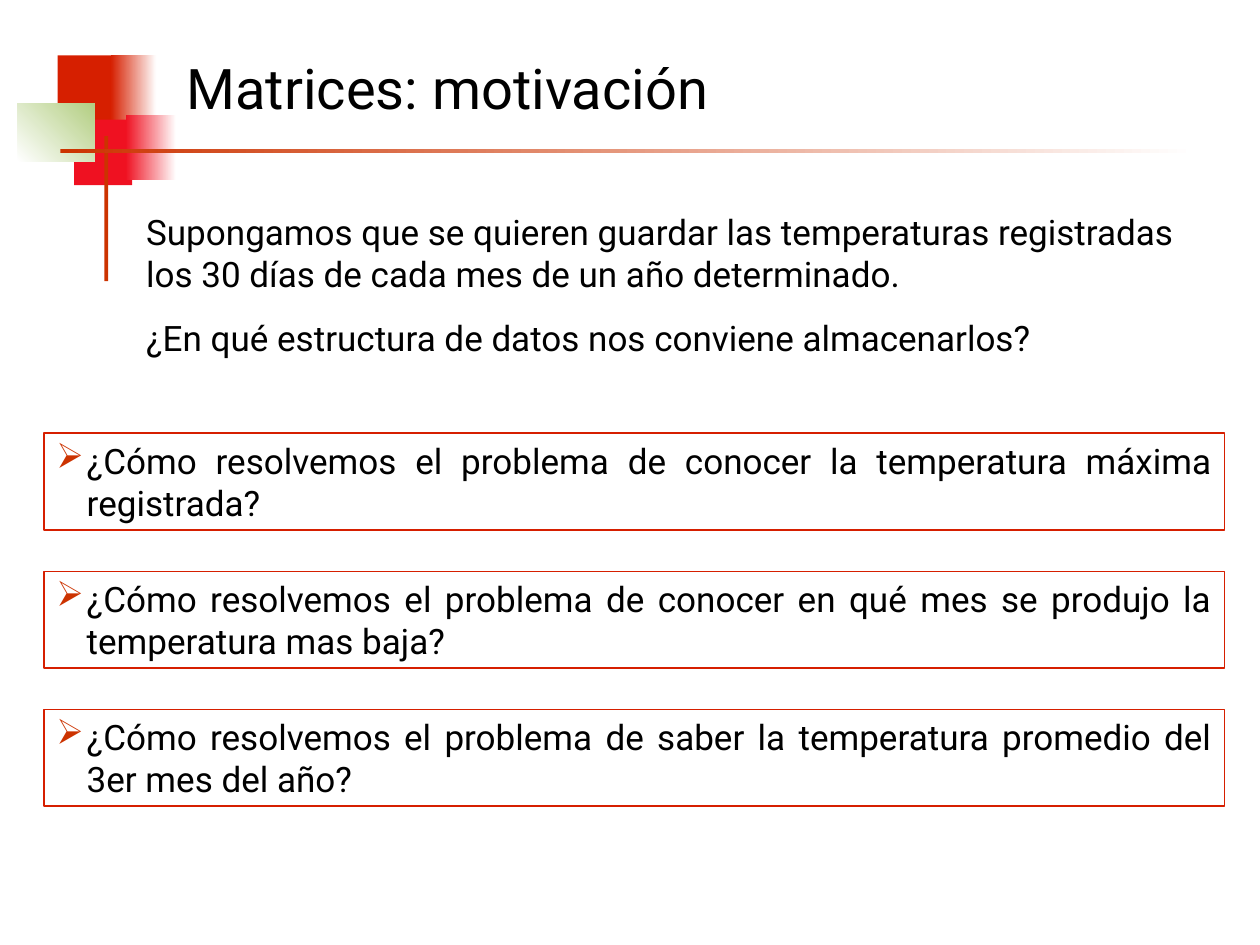
import pptx
import pptx.util
import pptx.dml.color
import pptx.enum.shapes
import pptx.enum.text
import pptx.oxml
import pptx.oxml.ns
from dataclasses import dataclass

Pt = pptx.util.Pt
Rgb = pptx.dml.color.RGBColor.from_string
Text = pptx.enum.text


@dataclass(frozen=True)
class Theme:
    font: str = "Roboto"
    ink: str = "000000"
    paper: str = "FFFFFF"
    red: str = "D61F00"
    rose: str = "EF1121"
    green: str = "B3CE82"
    rust: str = "CC3300"
    title: float = 32
    body: float = 20
    gap: float = 12.5
    hang: float = 17.3


theme = Theme()


def style(para, size):
    for run in para.runs:
        run.font.name = theme.font
        run.font.size = Pt(size)
        run.font.color.rgb = Rgb(theme.ink)


def inset(frame):
    frame.word_wrap = True
    frame.margin_left = frame.margin_right = Pt(7.2)
    frame.margin_top = frame.margin_bottom = Pt(3.6)


def place(shape, box):
    shape.left, shape.top, shape.width, shape.height = map(Pt, box)


def block(slide, box):
    shape = slide.shapes.add_shape(
        pptx.enum.shapes.MSO_SHAPE.RECTANGLE, *map(Pt, box))
    shape.shadow.inherit = False
    return shape


def mark(para, indent, sign=None):
    """Set the hanging indent, with a coloured bullet or none."""
    props = para._p.get_or_add_pPr()
    props.set("marL", str(Pt(indent)))
    props.set("indent", str(-Pt(indent)))
    space = pptx.oxml.ns.nsdecls("a")
    if sign:
        parts = [f'<a:buClr {space}><a:srgbClr val="{theme.rust}"/></a:buClr>',
                 f'<a:buChar {space} char="{sign}"/>']
    else:
        parts = [f'<a:buNone {space}/>']
    for part in parts:
        props.append(pptx.oxml.parse_xml(part))


def motif(slide, box):
    """Overlapping colour blocks crossed by two thin bars."""
    left, top, wide, high = box
    # x, y, width, height, first colour, last colour, angle
    parts = [
        (23, 0, 34.6, 37.4, theme.red, None, 0),
        (53.3, 0, 26, 37.4, theme.red, theme.paper, 0),
        (32.4, 36.7, 33.1, 37.4, theme.rose, None, 0),
        (61.9, 33.8, 28.8, 37.4, theme.rose, theme.paper, 0),
        (0, 27.4, 43.9, 33.1, theme.paper, theme.green, 45),
        (49.7, 46.1, 2.2, high - 46.1, theme.rust, None, 0),
        (24.5, 53.3, wide - 24.5, 2.2, theme.rust, theme.paper, 0),
    ]
    for x, y, w, h, first, last, angle in parts:
        shape = block(slide, (left + x, top + y, w, h))
        shape.line.fill.background()
        if last is None:
            shape.fill.solid()
            shape.fill.fore_color.rgb = Rgb(first)
            continue
        shape.fill.gradient()
        shape.fill.gradient_angle = angle
        for stop, tone, spot in zip(shape.fill.gradient_stops,
                                    (first, last), (0, 1)):
            stop.color.rgb = Rgb(tone)
            stop.position = spot


def heading(slide, box, words):
    shape = slide.shapes.title
    place(shape, box)
    frame = shape.text_frame
    frame.text = words
    inset(frame)
    frame.auto_size = Text.MSO_AUTO_SIZE.NONE
    frame.vertical_anchor = Text.MSO_ANCHOR.MIDDLE
    para = frame.paragraphs[0]
    para.alignment = Text.PP_ALIGN.LEFT
    style(para, theme.title)


def intro(slide, box, lines):
    shape = slide.placeholders[1]
    place(shape, box)
    frame = shape.text_frame
    frame.text = "\n".join(lines)
    inset(frame)
    frame.auto_size = Text.MSO_AUTO_SIZE.NONE
    for rank, para in enumerate(frame.paragraphs):
        para.space_before = Pt(theme.gap if rank else 0)
        mark(para, 0)
        style(para, theme.body)


def asks(slide, box, lines):
    """Stack one outlined box per question, at equal steps."""
    left, top, wide, high = box
    tall = 55.4
    step = (high - tall) / (len(lines) - 1)
    for row, words in enumerate(lines):
        shape = block(slide, (left, top + row * step, wide, tall))
        shape.fill.background()
        shape.line.color.rgb = Rgb(theme.red)
        shape.line.width = Pt(0.75)
        frame = shape.text_frame
        frame.text = words
        inset(frame)
        frame.vertical_anchor = Text.MSO_ANCHOR.TOP
        para = frame.paragraphs[0]
        para.alignment = Text.PP_ALIGN.JUSTIFY
        mark(para, theme.hang, "➢")
        style(para, theme.body)


def main():
    deck = pptx.Presentation()
    deck.slide_width, deck.slide_height = Pt(720), Pt(540)
    slide = deck.slides.add_slide(deck.slide_layouts[1])
    motif(slide, (10, 31.7, 672.6, 128.9))
    heading(slide, (99.4, 16.6, 588.2, 66.2), "Matrices: motivación")
    intro(slide, (76.3, 116.6, 612.7, 92.2), [
        "Supongamos que se quieren guardar las temperaturas registradas "
        "los 30 días de cada mes de un año determinado.",
        "¿En qué estructura de datos nos conviene almacenarlos?",
    ])
    asks(slide, (25.2, 247.5, 674.6, 213.2), [
        "¿Cómo resolvemos el problema de conocer la temperatura máxima "
        "registrada?",
        "¿Cómo resolvemos el problema de conocer en qué mes se produjo la "
        "temperatura mas baja?",
        "¿Cómo resolvemos el problema de saber la temperatura promedio del "
        "3er mes del año?",
    ])
    deck.save("out.pptx")


if __name__ == "__main__":
    main()
